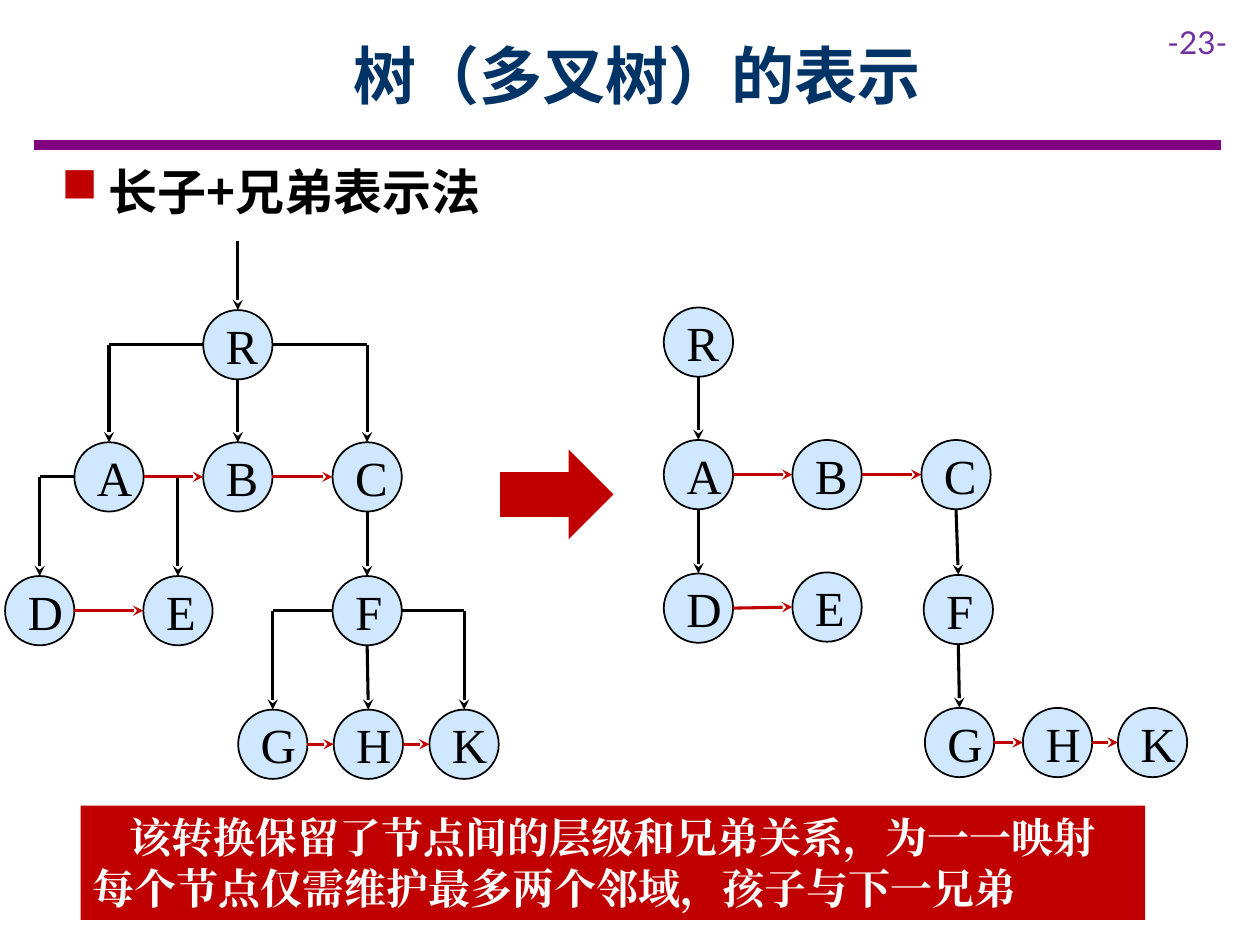
"""Build a slide on the first-child and next-sibling form of a tree."""
from lxml.etree import SubElement
from pptx import Presentation
from pptx.dml.color import RGBColor
from pptx.enum.shapes import MSO_CONNECTOR, MSO_SHAPE
from pptx.enum.text import MSO_ANCHOR, PP_ALIGN
from pptx.oxml.ns import qn
from pptx.util import Pt

HUES = {"navy": "003366", "plum": "800080", "violet": "7030A0", "red": "C00000",
        "sky": "99CCFF", "black": "000000", "white": "FFFFFF"}
HUES = {name: RGBColor.from_string(code) for name, code in HUES.items()}
SANS = "Noto Sans CJK SC"
FONTS = {
    "title": ("navy", {"name": SANS, "size": Pt(36), "bold": True}),
    "page": ("violet", {"name": "Lato", "size": Pt(18), "bold": False}),
    "head": ("black", {"name": SANS, "size": Pt(28), "bold": True}),
    "node": ("black", {"name": "Times New Roman", "size": Pt(28), "bold": False}),
    "note": ("white", {"name": "Cambria", "size": Pt(24), "bold": True}),
}
SIZE = 39.6
HALF = SIZE / 2


def write(para, text, kind, align=PP_ALIGN.LEFT):
    """Fill a paragraph with one styled run."""
    para.alignment = align
    run = para.add_run()
    run.text = text
    hue, form = FONTS[kind]
    for key, value in form.items():
        setattr(run.font, key, value)
    run.font.color.rgb = HUES[hue]
    SubElement(run.font._element, qn("a:ea"), typeface=form["name"])


def draw(start, end, hue="black", width=1.75, head=True):
    """Draw a line, with an arrowhead at its start if asked."""
    line = slide.shapes.add_connector(
        MSO_CONNECTOR.STRAIGHT, *[Pt(round(v, 2)) for v in (*start, *end)])
    line.line.color.rgb = HUES[hue]
    line.line.width = Pt(width)
    if head:
        SubElement(line.line._get_or_add_ln(), qn("a:headEnd"), type="stealth")
    SubElement(line._element.spPr, qn("a:effectLst"))


deck = Presentation()
deck.slide_width, deck.slide_height = Pt(720), Pt(540)
slide = deck.slides.add_slide(deck.slide_layouts[5])
shapes = slide.shapes

draw((19.5, 82.8), (697.5, 82.8), "plum", 6, False)

title = shapes.title
place = {"left": Pt(64.8), "top": Pt(6.5), "width": Pt(598.3), "height": Pt(72)}
for key, value in place.items():
    setattr(title, key, value)
title.text_frame.vertical_anchor = MSO_ANCHOR.MIDDLE
write(title.text_frame.paragraphs[0], "树（多叉树）的表示", "title", PP_ALIGN.CENTER)

labels = [("-23-", "page", (660, 9.4, 60, 28.8)),
          ("长子+兄弟表示法", "head", (28, 88.6, 292.3, 41))]
for text, kind, spot in labels:
    box = shapes.add_textbox(*[Pt(v) for v in spot])
    box.text_frame.word_wrap = True
    para = box.text_frame.paragraphs[0]
    write(para, text, kind)
    if kind == "head":
        para.space_after = Pt(6)
        props = para._p.get_or_add_pPr()
        props.set("marL", str(Pt(27)))
        props.set("indent", str(-Pt(27)))
        tint = SubElement(props, qn("a:buClr"))
        SubElement(tint, qn("a:srgbClr"), val=str(HUES["red"]))
        SubElement(props, qn("a:buChar"), char="■")

trees = [
    {"nodes": {"R": (135.9, 197), "A": (62.3, 272.5), "B": (135.9, 272.5),
               "C": (209.8, 272.5), "D": (22.7, 349), "E": (101.7, 349),
               "F": (209.8, 349), "G": (155.9, 425.3), "H": (210.5, 425.3),
               "K": (265.2, 425.3)},
     "kids": ["RA", "RB", "RC", "AD", "AE", "CF", "FG", "FH", "FK"]},
    {"nodes": {"R": (399.1, 195.5), "A": (399.1, 271.2), "B": (472.6, 271.2),
               "C": (546.3, 271.2), "D": (399.1, 347.5), "E": (472.6, 346.9),
               "F": (547.6, 348.3), "G": (548.3, 424.3), "H": (604.3, 424.3),
               "K": (658.6, 424.3)},
     "kids": ["RA", "AD", "CF", "FG"]},
]
for tree in trees:
    nodes = tree["nodes"]
    for name, (x, y) in nodes.items():
        ball = shapes.add_shape(MSO_SHAPE.OVAL, Pt(round(x - HALF, 2)),
                                Pt(round(y - HALF, 2)), Pt(SIZE), Pt(SIZE))
        ball.shadow.inherit = False
        ball.fill.solid()
        ball.fill.fore_color.rgb = HUES["sky"]
        tint = ball._element.spPr.find(".//" + qn("a:srgbClr"))
        SubElement(tint, qn("a:alpha"), val="47000")
        ball.line.color.rgb = HUES["black"]
        ball.line.width = Pt(1)
        frame = ball.text_frame
        for side in ("left", "top", "right", "bottom"):
            setattr(frame, "margin_" + side, Pt(7.2))
        write(frame.paragraphs[0], name, "node", PP_ALIGN.CENTER)
    for top, kid in tree["kids"]:
        (px, py), (x, y) = nodes[top], nodes[kid]
        if abs(px - x) < 3:
            draw((x, y - HALF), (px, py + HALF))
        else:
            edge = px + HALF if x > px else px - HALF
            draw((x, y - HALF), (x, py))
            draw((x, py), (edge, py), head=False)
    for prior, after in ["AB", "BC", "DE", "GH", "HK"]:
        (px, py), (x, y) = nodes[prior], nodes[after]
        draw((x - HALF, y), (px + HALF, py), "red")

x, y = trees[0]["nodes"]["R"]
draw((x, y - HALF), (x, 137.5))

blocks = [(MSO_SHAPE.RIGHT_ARROW, (285.8, 257, 64.8, 51.1), []),
          (MSO_SHAPE.RECTANGLE, (46, 460.3, 608.4, 65.4),
           [("该转换保留了节点间的层级和兄弟关系，为一一映射", PP_ALIGN.CENTER),
            ("每个节点仅需维护最多两个邻域，孩子与下一兄弟", PP_ALIGN.LEFT)])]
for form, spot, lines in blocks:
    block = shapes.add_shape(form, *[Pt(v) for v in spot])
    block.shadow.inherit = False
    block.fill.solid()
    block.fill.fore_color.rgb = HUES["red"]
    block.line.fill.background()
    frame = block.text_frame
    frame.vertical_anchor = MSO_ANCHOR.TOP
    for i, (text, align) in enumerate(lines):
        para = frame.add_paragraph() if i else frame.paragraphs[0]
        write(para, text, "note", align)

deck.save("out.pptx")
